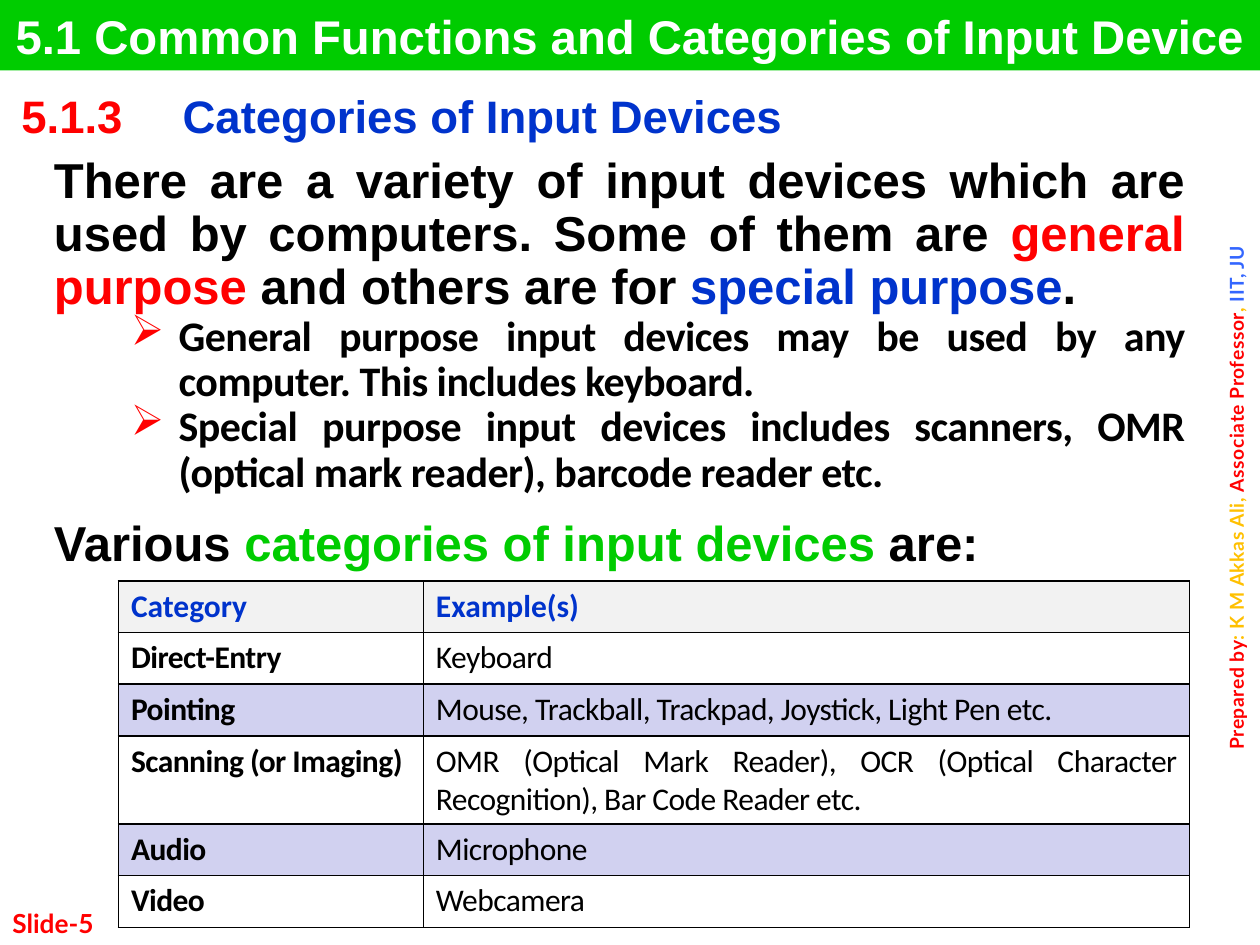
from lxml.etree import SubElement as Sub
from pptx import Presentation
from pptx.dml.color import RGBColor as RGB
from pptx.enum.shapes import MSO_SHAPE as SHAPE
from pptx.enum.text import MSO_ANCHOR as ANCHOR, PP_ALIGN as ALIGN
from pptx.oxml.ns import qn
from pptx.util import Inches, Pt

COLS, ROWS = 100, 75
UNIT = Inches(0.1)

BLACK = RGB(0, 0, 0)
WHITE = RGB(255, 255, 255)
RED = RGB(255, 0, 0)
BLUE = RGB(0, 0x33, 0xCC)
SKY = RGB(0x33, 0x66, 0xFF)
GOLD = RGB(0xFF, 0xC0, 0)
GREEN = RGB(0, 0xCC, 0)
PALE = RGB(0xF2, 0xF2, 0xF2)
LILAC = RGB(0xD1, 0xD1, 0xF0)

KINDS = [
    ("Category", "Example(s)"),
    ("Direct-Entry", "Keyboard"),
    ("Pointing", "Mouse, Trackball, Trackpad, Joystick, Light Pen etc."),
    ("Scanning (or Imaging)", "OMR (Optical Mark Reader), OCR (Optical Character "
     "Recognition), Bar Code Reader etc."),
    ("Audio", "Microphone"),
    ("Video", "Webcamera"),
]
USES = [
    "General purpose input devices may be used by any computer. This includes keyboard.",
    "Special purpose input devices includes scanners, OMR (optical mark reader), "
    "barcode reader etc.",
]


def span(box):
    return [round(part * UNIT) for part in box]


def put(para, text, size=18, font="Calibri", color=BLACK, bold=True, gap=0):
    run = para.add_run()
    run.text = text
    face = run.font
    face.size, face.name, face.bold = Pt(size), font, bold
    face.color.rgb = color
    if gap:
        run._r.get_or_add_rPr().set("spc", str(round(gap * 100)))


def frame(slide, box):
    shape = slide.shapes.add_textbox(*span(box))
    shape.text_frame.word_wrap = True
    return shape


def bullet(para, mark, color):
    props = para._p.get_or_add_pPr()
    props.set("marL", str(Inches(0.99)))
    props.set("indent", str(Inches(-0.38)))
    Sub(Sub(props, qn("a:buClr")), qn("a:srgbClr"), val=str(color))
    Sub(props, qn("a:buSzPct"), val="101000")
    Sub(props, qn("a:buChar"), char=mark)


def edge(cell):
    props = cell._tc.get_or_add_tcPr()
    for spot, side in enumerate(("lnL", "lnR", "lnT", "lnB")):
        line = props.makeelement(qn("a:" + side), {"w": str(Pt(1))})
        fill = Sub(line, qn("a:solidFill"))
        Sub(fill, qn("a:srgbClr"), val=str(BLACK))
        props.insert(spot, line)


def sheet(slide, box, wide, high):
    table = slide.shapes.add_table(len(high), len(wide), *span(box)).table
    table.first_row = table.horz_banding = False
    for col, width in zip(table.columns, wide):
        col.width = round(width * UNIT)
    for row, height in zip(table.rows, high):
        row.height = round(height * UNIT)
    return table


def banner(slide, box):
    bar = slide.shapes.add_shape(SHAPE.RECTANGLE, *span(box))
    bar.shadow.inherit = False
    bar.fill.solid()
    bar.fill.fore_color.rgb = GREEN
    bar.line.fill.background()
    para = bar.text_frame.paragraphs[0]
    para.alignment = ALIGN.CENTER
    put(para, "5.1 Common Functions and Categories of Input Device",
        size=27, font="Arial", color=WHITE)


def heading(slide, box):
    table = sheet(slide, box, (12.8, box[2] - 12.8), (box[3],))
    parts = (("5.1.3", RED), ("Categories of Input Devices", BLUE))
    for cell, (text, color) in zip(table.iter_cells(), parts):
        cell.fill.background()
        cell.margin_left = cell.margin_right = Inches(0.07)
        cell.margin_top = cell.margin_bottom = 0
        put(cell.text_frame.paragraphs[0], text, size=26, font="Arial", color=color)


def body(slide, box):
    text = frame(slide, box).text_frame
    intro = (
        ("There are a variety of input devices which are used by computers. "
         "Some of them are ", BLACK),
        ("general purpose", RED), (" and others are for ", BLACK),
        ("special purpose", BLUE), (".", BLACK),
    )
    close = (("Various ", BLACK), ("categories of input devices ", GREEN), ("are:", BLACK))
    paras = [text.paragraphs[0]] + [text.add_paragraph() for _ in range(3)]
    for para in paras:
        para.alignment, para.line_spacing = ALIGN.JUSTIFY, 0.9
    paras[-1].space_before = Pt(13)
    for para, runs in ((paras[0], intro), (paras[-1], close)):
        for words, color in runs:
            put(para, words, size=28, font="Arial", color=color)
    for para, use in zip(paras[1:], USES):
        bullet(para, "➢", RED)
        put(para, use, size=24, gap=-0.3)


def grid(slide, box):
    table = sheet(slide, box, (24.2, 60.8), (4.1, 4.1, 4.1, 6.9, 4.1, 4.1))
    for i, kind in enumerate(KINDS):
        head = i == 0
        for j, text in enumerate(kind):
            cell = table.cell(i, j)
            if i % 2 == 0:
                cell.fill.solid()
                cell.fill.fore_color.rgb = PALE if head else LILAC
            else:
                cell.fill.background()
            edge(cell)
            para = cell.text_frame.paragraphs[0]
            if j and len(text) > 60:
                para.alignment = ALIGN.JUSTIFY
            put(para, text, color=BLUE if head else BLACK,
                bold=head or j == 0, gap=0 if head else -0.3)


def credit(slide, box):
    shape = frame(slide, box)
    shape.text_frame._txBody.bodyPr.set("vert", "vert270")
    para = shape.text_frame.paragraphs[0]
    para.alignment = ALIGN.CENTER
    parts = (("Prepared by", RED), (": K M Akkas Ali, ", GOLD),
             ("Associate Professor", RED), (", ", GOLD), ("IIT, JU", SKY))
    for text, color in parts:
        put(para, text, size=11, font="Lato", color=color, gap=0.3)


def number(slide, box):
    text = frame(slide, box).text_frame
    text.vertical_anchor = ANCHOR.BOTTOM
    put(text.paragraphs[0], "Slide-5", size=15, font="Lato", color=RED)


def main():
    deck = Presentation()
    deck.slide_width, deck.slide_height = COLS * UNIT, ROWS * UNIT
    slide = deck.slides.add_slide(deck.slide_layouts[6])
    credit(slide, (96.7, 4.9, 3.9, 69.2))
    heading(slide, (1, 7.3, 92.3, 4.3))
    body(slide, (3.3, 11.9, 91.7, 33.3))
    number(slide, (0, 70, 20.8, 5))
    grid(slide, (9.4, 46.1, 85, 27.4))
    banner(slide, (0, 0, COLS, 5.6))
    deck.save("out.pptx")


if __name__ == "__main__":
    main()
